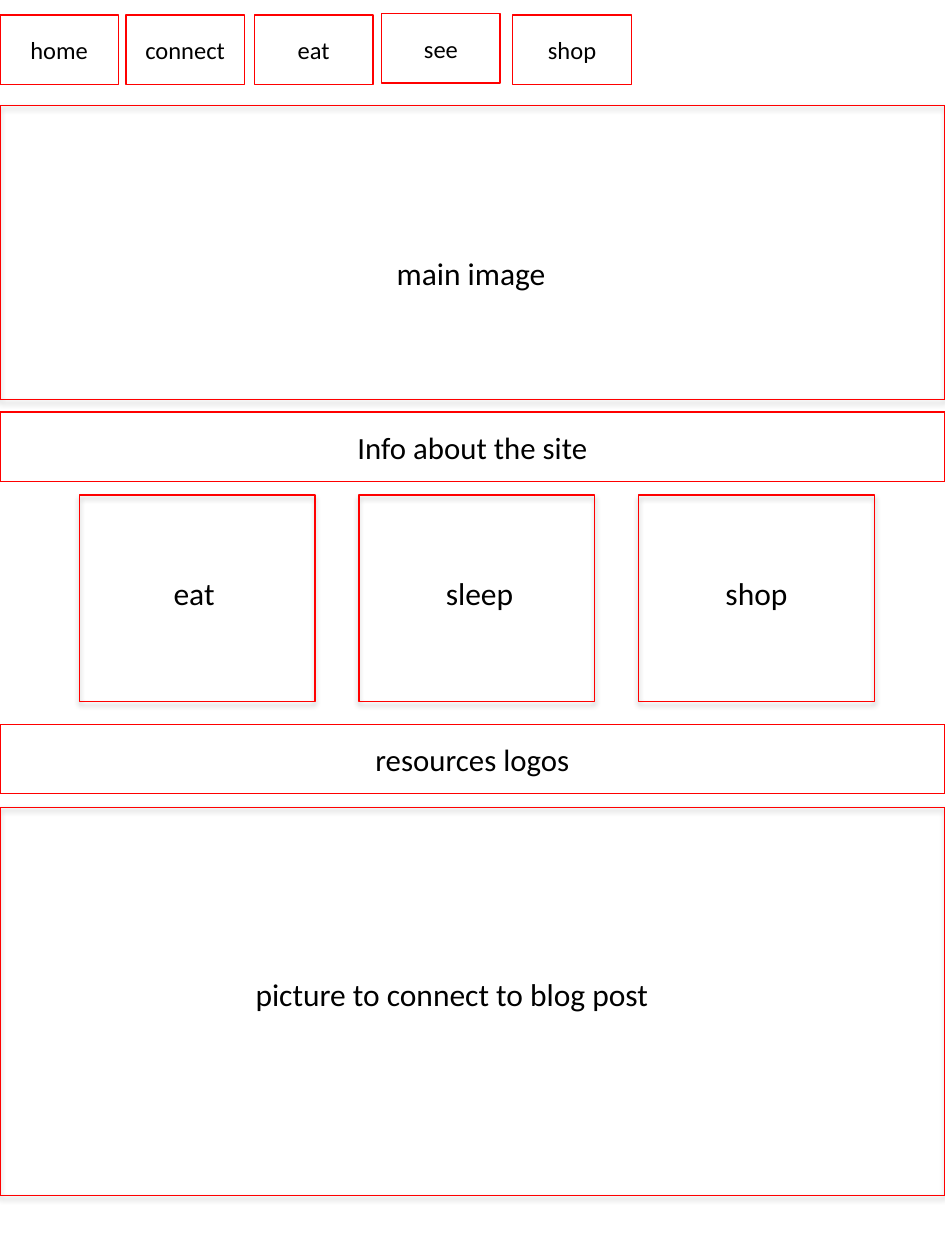
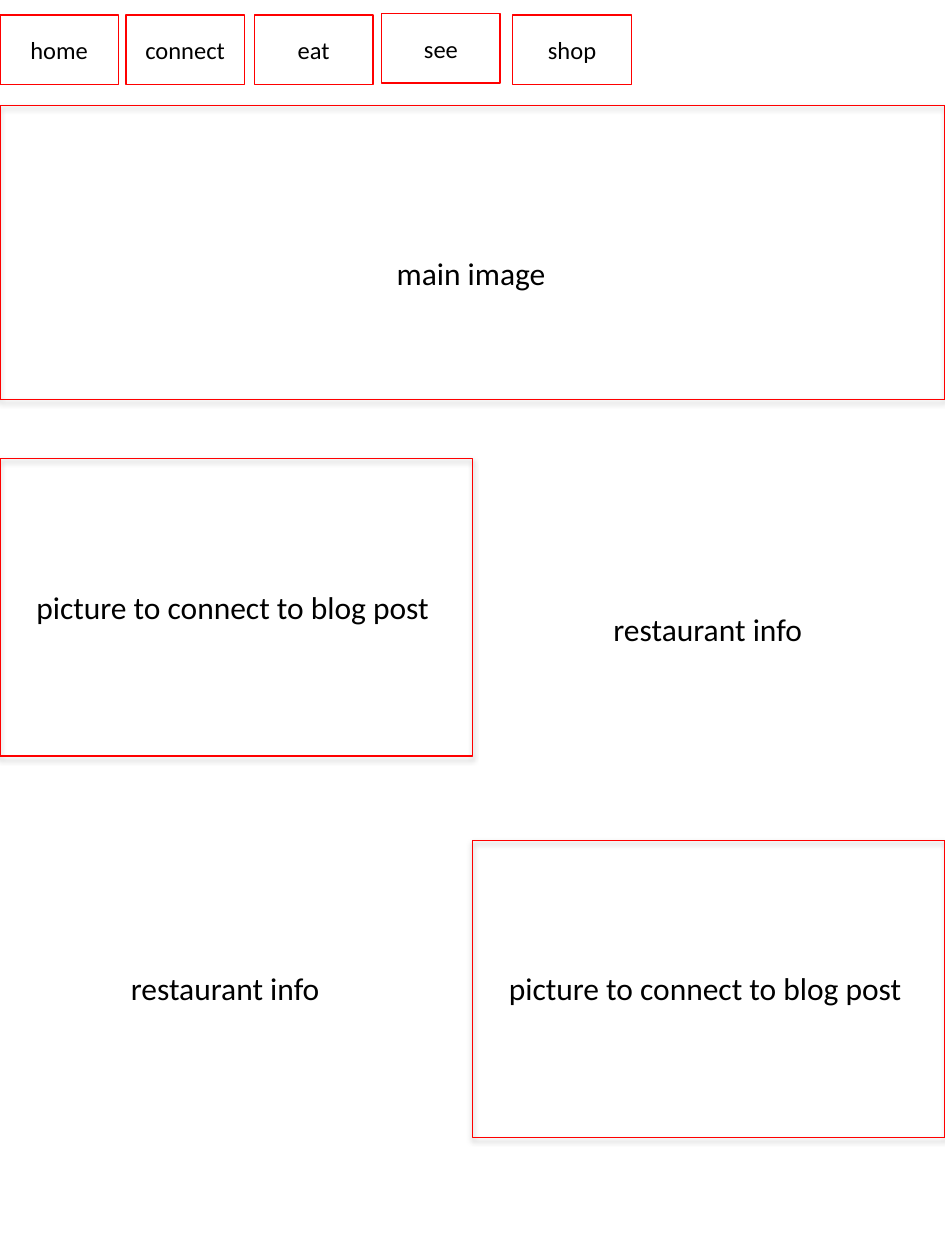
from dataclasses import dataclass

from lxml.etree import SubElement
from pptx import Presentation
from pptx.dml.color import RGBColor
from pptx.enum.shapes import MSO_SHAPE as Shape
from pptx.enum.text import MSO_ANCHOR as Anchor
from pptx.enum.text import MSO_AUTO_SIZE as Auto
from pptx.enum.text import PP_ALIGN as Align
from pptx.oxml.ns import qn
from pptx.util import Inches, Pt

COLORS = {"line": "FF0000", "text": "000000", "plain": "FFFFFF"}
FONT = "Calibri"
WIDE, HIGH = 7.5, 10
HALF = WIDE / 2
BAR = 0.55
POST = "picture to connect to blog post"
INFO = "restaurant info"


@dataclass
class Box:
    left: float
    top: float
    width: float
    height: float


@dataclass
class Label:
    text: str
    box: Box
    framed: bool = False


@dataclass
class Bar:
    text: str
    box: Box
    size: float = 17.6


HERO = Box(0, 0.84, WIDE, 2.33)
TITLE = Label("main image", Box(3.05, 1.97, 1.4, 0.4))
TABS = [
    Bar(name, Box(left, top, 0.94, BAR), 14)
    for name, left, top in [
        ("home", 0, 0.12),
        ("connect", 1, 0.12),
        ("eat", 2.02, 0.12),
        ("see", 3.03, 0.11),
        ("shop", 4.07, 0.12),
    ]
]


def color(name: str) -> RGBColor:
    return RGBColor.from_string(COLORS[name])


def place(box: Box) -> list:
    return [Inches(n) for n in (box.left, box.top, box.width, box.height)]


def write(frame, text: str, size: float, align: Align) -> None:
    para = frame.paragraphs[0]
    para.alignment = align
    run = para.add_run()
    run.text = text
    run.font.name = FONT
    run.font.size = Pt(size)
    run.font.color.rgb = color("text")


def outline(slide, box: Box, line: str = "line"):
    shape = slide.shapes.add_shape(Shape.RECTANGLE, *place(box))
    shape.fill.background()
    shape.line.color.rgb = color(line)
    shape.line.width = Pt(0.75)
    shape.shadow.inherit = False
    return shape


def panel(slide, box: Box) -> None:
    shape = outline(slide, box)
    effects = shape._element.spPr.find(qn("a:effectLst"))
    shade = SubElement(
        effects, qn("a:outerShdw"), blurRad=str(Pt(3.1)),
        dist=str(Pt(1.8)), dir="5400000", rotWithShape="0",
    )
    tint = SubElement(shade, qn("a:srgbClr"), val=COLORS["text"])
    SubElement(tint, qn("a:alpha"), val="35000")


def band(slide, bar: Bar) -> None:
    frame = outline(slide, bar.box).text_frame
    frame.word_wrap = True
    frame.vertical_anchor = Anchor.MIDDLE
    write(frame, bar.text, bar.size, Align.CENTER)


def caption(slide, label: Label) -> None:
    if label.framed:
        shape = outline(slide, label.box, "plain")
    else:
        shape = slide.shapes.add_textbox(*place(label.box))
    frame = shape.text_frame
    frame.word_wrap = False
    frame.auto_size = Auto.SHAPE_TO_FIT_TEXT
    frame.vertical_anchor = Anchor.TOP
    write(frame, label.text, 18, Align.LEFT)


def start(deck):
    slide = deck.slides.add_slide(deck.slide_layouts[6])
    back = slide.background.fill
    back.solid()
    back.fore_color.rgb = color("plain")
    for tab in TABS:
        band(slide, tab)
    panel(slide, HERO)
    caption(slide, TITLE)
    return slide


def home(deck) -> None:
    slide = start(deck)
    band(slide, Bar("Info about the site", Box(0, 3.27, WIDE, BAR)))
    cards = [("eat", 1.28, 0.54), ("sleep", 3.44, 0.74), ("shop", 5.66, 0.7)]
    for i, (name, left, width) in enumerate(cards):
        panel(slide, Box(0.63 + 2.22 * i, 3.93, 1.87, 1.64))
        caption(slide, Label(name, Box(left, 4.51, width, 0.4)))
    band(slide, Bar("resources logos", Box(0, 5.75, WIDE, BAR)))
    panel(slide, Box(0, 6.41, WIDE, 3.08))
    caption(slide, Label(POST, Box(1.93, 7.69, 3.36, 0.4), True))


def eat(deck) -> None:
    slide = start(deck)
    rows = [(0, 3.64, 4.62, 4.77, 4.79), (HALF, 6.67, 7.64, 0.94, 7.64)]
    for left, top, post, side, info in rows:
        panel(slide, Box(left, top, HALF, 2.36))
        caption(slide, Label(POST, Box(left + 0.19, post, 3.36, 0.4), True))
        caption(slide, Label(INFO, Box(side, info, 1.71, 0.4), True))


def main() -> None:
    deck = Presentation()
    deck.slide_width = Inches(WIDE)
    deck.slide_height = Inches(HIGH)
    home(deck)
    eat(deck)
    deck.save("out.pptx")


main()
